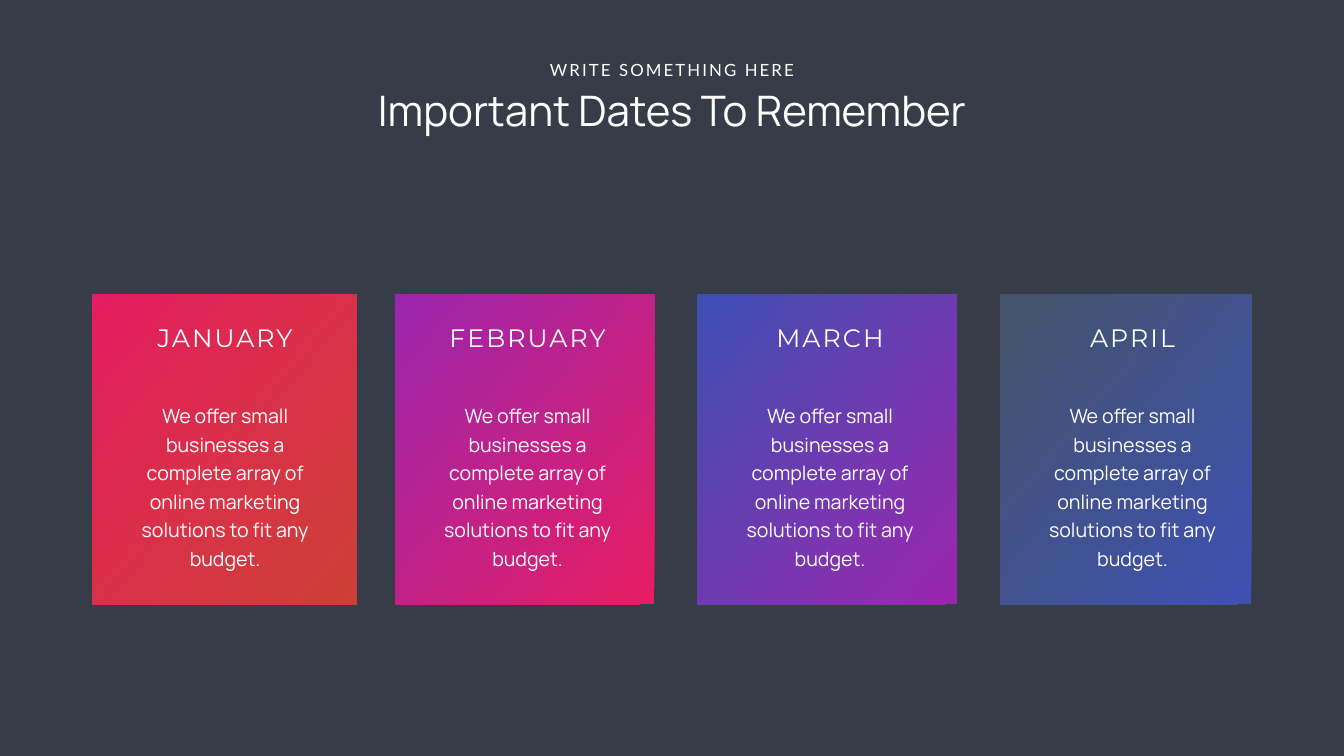
from dataclasses import dataclass

from lxml import etree
from pptx import Presentation
from pptx.dml.color import RGBColor
from pptx.enum.shapes import MSO_SHAPE
from pptx.enum.text import MSO_ANCHOR, MSO_AUTO_SIZE, PP_ALIGN
from pptx.oxml.ns import qn
from pptx.shapes.base import BaseShape
from pptx.slide import Slide
from pptx.util import Pt

RECTANGLE = MSO_SHAPE.RECTANGLE
TOP = MSO_ANCHOR.TOP
GROW = MSO_AUTO_SIZE.SHAPE_TO_FIT_TEXT
CENTER = PP_ALIGN.CENTER

WHITE = RGBColor(0xFF, 0xFF, 0xFF)
SLATE = RGBColor(0x36, 0x3D, 0x48)
ORANGE = RGBColor(0xF4, 0x42, 0x34)
PINK = RGBColor(0xE7, 0x1D, 0x62)
PURPLE = RGBColor(0x9B, 0x26, 0xAE)
BLUE = RGBColor(0x3E, 0x50, 0xB3)
STEEL = RGBColor(0x44, 0x54, 0x69)

# All lengths are in points.
SLIDE_WIDTH, SLIDE_HEIGHT = 1919.52, 1080
CARD_LEFT, CARD_TOP, CARD_HEIGHT = 132.5, 420.5, 442.8
CARD_PITCH = 432
TEXT_CENTER = 189  # from the left edge of a card
MONTH_TOP, MONTH_HEIGHT = 457.2, 51.1
BODY_TOP, BODY_WIDTH, BODY_HEIGHT = 566.6, 291.6, 254.2
BODY_TEXT = ("We offer small businesses a complete array of online marketing "
             "solutions to fit any budget.")


@dataclass(frozen=True)
class TextStyle:
    font: str
    size: float
    tracking: float = 0
    line_spacing: float | None = None


@dataclass(frozen=True)
class Card:
    month: str
    width: float
    month_width: float
    start: RGBColor
    end: RGBColor
    start_opacity: int = 100


TITLE = TextStyle("Manrope", 60)
SUBTITLE = TextStyle("Lato", 24, tracking=3)
MONTH = TextStyle("Montserrat", 36, tracking=3)
BODY = TextStyle("Manrope", 28, line_spacing=40.8)

CARDS = (
    Card("JANUARY", 377.3, 252.7, ORANGE, PINK, start_opacity=80),
    Card("FEBRUARY", 370, 311.8, PINK, PURPLE),
    Card("MARCH", 370, 311.8, PURPLE, BLUE),
    Card("APRIL", 358.6, 311.8, BLUE, STEEL),
)


def write_text(box: BaseShape, text: str, style: TextStyle, wrap: bool = True) -> None:
    frame = box.text_frame
    frame.text = text
    frame.word_wrap = wrap
    frame.auto_size = GROW
    frame.vertical_anchor = TOP
    para = frame.paragraphs[0]
    para.alignment = CENTER
    if style.line_spacing:
        para.line_spacing = Pt(style.line_spacing)
    span = para.runs[0]
    span.font.name = style.font
    span.font.size = Pt(style.size)
    span.font.color.rgb = WHITE
    if style.tracking:
        span._r.get_or_add_rPr().set("spc", str(round(style.tracking * 100)))


def add_centered_text(page: Slide, text: str, style: TextStyle, center: float,
                      top: float, width: float, height: float, wrap: bool = True) -> None:
    box = page.shapes.add_textbox(Pt(center - width / 2), Pt(top), Pt(width), Pt(height))
    write_text(box, text, style, wrap)


def add_card(page: Slide, card: Card, left: float) -> None:
    panel = page.shapes.add_shape(RECTANGLE, Pt(left), Pt(CARD_TOP),
                                  Pt(card.width), Pt(CARD_HEIGHT))
    panel.shadow.inherit = False
    panel.line.fill.background()
    panel.fill.gradient()
    panel.fill.gradient_angle = 140  # counter-clockwise: runs towards the top left
    for stop, color in zip(panel.fill.gradient_stops, (card.start, card.end)):
        stop.color.rgb = color
    if card.start_opacity < 100:
        first_color = next(panel._element.spPr.iter(qn("a:srgbClr")))
        etree.SubElement(first_color, qn("a:alpha"), val=str(card.start_opacity * 1000))

    center = left + TEXT_CENTER
    add_centered_text(page, card.month, MONTH, center, MONTH_TOP,
                      card.month_width, MONTH_HEIGHT)
    add_centered_text(page, BODY_TEXT, BODY, center, BODY_TOP, BODY_WIDTH, BODY_HEIGHT)


def add_heading(page: Slide) -> None:
    title = page.shapes.title
    title.left, title.top = Pt(381.6), Pt(121)
    title.width, title.height = Pt(1156.3), Pt(80)
    write_text(title, "Important Dates To Remember", TITLE)
    frame = title.text_frame
    frame.margin_left = frame.margin_top = frame.margin_right = frame.margin_bottom = 0
    add_centered_text(page, "WRITE SOMETHING HERE", SUBTITLE, SLIDE_WIDTH / 2,
                      81.4, 370, 36, wrap=False)


def main() -> None:
    deck = Presentation()
    deck.slide_width, deck.slide_height = Pt(SLIDE_WIDTH), Pt(SLIDE_HEIGHT)
    page = deck.slides.add_slide(deck.slide_layouts.get_by_name("Title Only"))
    page.background.fill.solid()
    page.background.fill.fore_color.rgb = SLATE
    add_heading(page)
    for column, card in enumerate(CARDS):
        add_card(page, card, CARD_LEFT + column * CARD_PITCH)
    deck.save("out.pptx")


if __name__ == "__main__":
    main()
